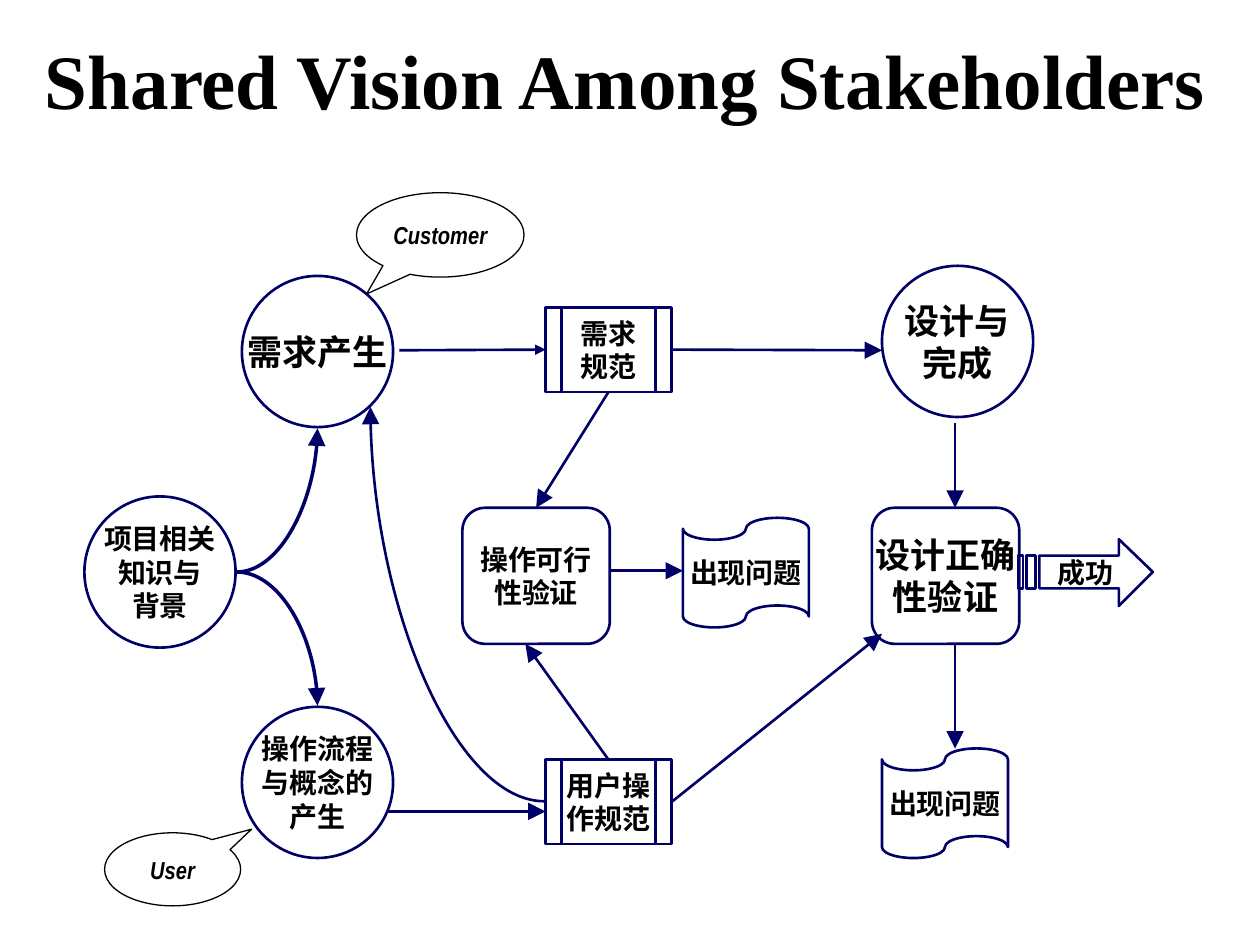
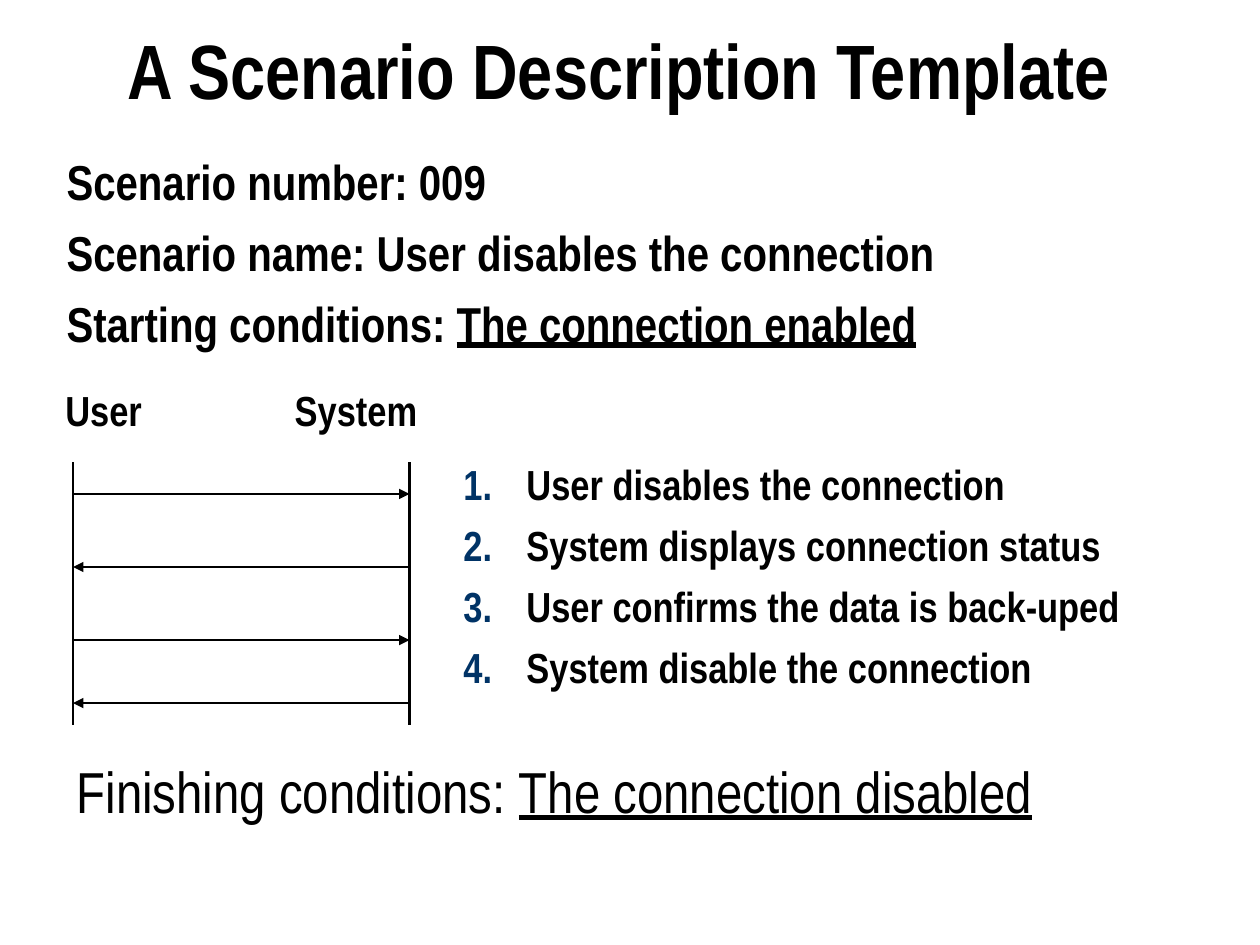
"""Build two slides: a stakeholder vision flow and a scenario template."""
from lxml.etree import SubElement
from pptx import Presentation
from pptx.dml.color import RGBColor
from pptx.enum.shapes import MSO_CONNECTOR, MSO_SHAPE
from pptx.enum.text import MSO_ANCHOR, MSO_AUTO_SIZE, PP_ALIGN
from pptx.oxml.ns import qn
from pptx.util import Inches, Pt

NAVY = RGBColor(0x00, 0x00, 0x66)
BLACK = RGBColor(0x00, 0x00, 0x00)
BLUE = RGBColor(0x00, 0x33, 0x66)
SERIF = "Times New Roman"
SANS = "Arial Narrow"

ROUND = (MSO_SHAPE.OVAL, 1.2, 1.2)
SPEC = (MSO_SHAPE.FLOWCHART_PREDEFINED_PROCESS, 1, 0.67)
CHECK = (MSO_SHAPE.ROUNDED_RECTANGLE, 1.17, 1.08)
TAPE = (MSO_SHAPE.FLOWCHART_PUNCHED_TAPE, 1, 0.87)

NODES = {
    "need": (ROUND, 1.92, 2.19, 20, ["需求产生"]),
    "concept": (ROUND, 1.92, 5.61, 16, ["操作流程", "与概念的", "产生"]),
    "need spec": (SPEC, 4.33, 2.44, 16, ["需求", "规范"]),
    "user spec": (SPEC, 4.33, 6.03, 16, ["用户操", "作规范"]),
    "use fault": (TAPE, 5.42, 4.11, 16, ["出现问题"]),
    "design": (ROUND, 7, 2.11, 20, ["设计与", "完成"]),
    "use check": (CHECK, 3.67, 4.03, 16, ["操作可行", "性验证"]),
    "design check": (CHECK, 6.92, 4.03, 20, ["设计正确", "性验证"]),
    "design fault": (TAPE, 7, 5.94, 16, ["出现问题"]),
    "context": (ROUND, 0.67, 3.94, 16, ["项目相关", "知识与", "背景"]),
}
CURVES = [
    ((1.88, 4.54), (2.52, 3.4), 2),
    ((1.88, 4.54), (2.52, 5.6), 2),
    ((4.32, 6.36), (2.94, 3.23), 1.5),
]
TOP, LEFT, BOTTOM, RIGHT = range(4)
LINKS = [
    ((3.17, 2.78), (4.33, 2.78), None, ("need spec", LEFT), "med"),
    ((3.08, 6.44), (4.33, 6.44), None, None, "lg"),
    ((4.83, 3.11), (4.25, 4.03), ("need spec", BOTTOM), ("use check", TOP), "lg"),
    ((4.83, 6.03), (4.17, 5.11), ("user spec", TOP), None, "lg"),
    ((4.83, 4.53), (5.42, 4.53), None, None, "lg"),
    ((5.33, 2.78), (7, 2.78), ("need spec", RIGHT), None, "lg"),
    ((5.33, 6.36), (7, 5.03), ("user spec", RIGHT), None, "lg"),
    ((7.58, 3.36), (7.58, 4.03), None, None, "lg"),
    ((7.58, 5.11), (7.58, 5.94), None, None, "lg"),
]
ARROW = [(8.88, 4.28), (8.88, 4.41), (8.25, 4.41), (8.25, 4.67),
         (8.88, 4.67), (8.88, 4.81), (9.15, 4.54)]
BARS = [(8.15, 8.22), (8.08, 8.12)]
CALLS = [
    ("Customer", (2.83, 1.53, 1.33, 0.67), (-0.44, 0.7)),
    ("User", (0.83, 6.61, 1.08, 0.58), (0.58, -0.55)),
]

FACTS = ["Scenario number: 009", "Scenario name: User disables the connection",
         ("Starting conditions: ", "The connection enabled")]
ROLES = [("User", 0.42), ("System", 2.24)]
STEPS = ["User disables the connection", "System displays connection status",
         "User confirms the data is back-uped", "System disable the connection"]
FINISH = [("Finishing conditions: ", "The connection disabled")]
LANES = (0.58, 3.25)
CALL_TOPS = [3.92, 4.5, 5.08, 5.58]


def write(frame, lines, size=16, font=SERIF, bold=True, italic=False,
          align=PP_ALIGN.CENTER, anchor=MSO_ANCHOR.MIDDLE, wrap=False,
          gap=0, count=False):
    """Fill a frame; in a pair the second part is underlined."""
    frame.word_wrap = wrap
    frame.auto_size = MSO_AUTO_SIZE.NONE
    frame.vertical_anchor = anchor
    for i, line in enumerate(lines):
        para = frame.add_paragraph() if i else frame.paragraphs[0]
        if count:
            props = para._p.get_or_add_pPr()
            props.set("marL", str(Inches(0.5)))
            props.set("indent", str(-Inches(0.5)))
            tint = SubElement(props, qn("a:buClr"))
            SubElement(tint, qn("a:srgbClr"), val=str(BLUE))
            SubElement(props, qn("a:buAutoNum"), type="arabicPeriod")
        para.alignment = align
        if i:
            para.space_before = Pt(gap)
        parts = (line,) if isinstance(line, str) else line
        for j, part in enumerate(parts):
            run = para.add_run()
            run.text = part
            face = run.font
            face.name, face.size = font, Pt(size)
            face.bold, face.italic = bold, italic
            face.color.rgb = BLACK
            if j:
                face.underline = True


def start(deck, title, box, font):
    """Add a slide and set its title."""
    slide = deck.slides.add_slide(deck.slide_layouts[5])
    head = slide.shapes.title
    head.left, head.top, head.width, head.height = map(Inches, box)
    write(head.text_frame, [title], size=44, font=font, wrap=True)
    return slide


def style(shape, color=NAVY, width=1.5):
    """Give a shape an outline and no fill or shadow."""
    shape.shadow.inherit = False
    shape.fill.background()
    shape.line.color.rgb = color
    shape.line.width = Pt(width)


def link(slide, tail, tip, color=NAVY, width=1.5, head="lg", curved=False):
    """Draw a connector, with an arrowhead if a head size is given."""
    kind = MSO_CONNECTOR.CURVE if curved else MSO_CONNECTOR.STRAIGHT
    wire = slide.shapes.add_connector(kind, *map(Inches, tail + tip))
    wire.line.color.rgb = color
    wire.line.width = Pt(width)
    props = wire._element.spPr
    if curved:
        props.find(qn("a:prstGeom")).set("prst", "curvedConnector2")
    if head:
        SubElement(props.find(qn("a:ln")), qn("a:tailEnd"),
                   type="triangle", w=head, len=head)
    SubElement(props, qn("a:effectLst"))
    return wire


def note(slide, lines, box, **form):
    """Add a left-aligned text box."""
    area = slide.shapes.add_textbox(*map(Inches, box))
    write(area.text_frame, lines, font=SANS, align=PP_ALIGN.LEFT,
          anchor=MSO_ANCHOR.TOP, wrap=True, **form)


def draw_arrow(slide):
    """Draw the striped success arrow."""
    bars = [[(a, 4.41), (a, 4.67), (b, 4.67), (b, 4.41)] for a, b in BARS]
    pen = None
    for path in [ARROW] + bars:
        dots = [(Inches(x), Inches(y)) for x, y in path]
        if pen is None:
            pen = slide.shapes.build_freeform(*dots[0])
        else:
            pen.move_to(*dots[0])
        pen.add_line_segments(dots[1:], close=True)
    shape = pen.convert_to_shape()
    style(shape)
    write(shape.text_frame, ["成功"])


def vision(deck):
    """Build the flow of shared vision."""
    slide = start(deck, "Shared Vision Among Stakeholders",
                  (0.2, 0.21, 9.53, 0.83), SERIF)
    nodes = {}
    for name, ((kind, wide, high), x, y, size, lines) in NODES.items():
        node = slide.shapes.add_shape(kind, *map(Inches, (x, y, wide, high)))
        style(node)
        write(node.text_frame, lines, size=size)
        nodes[name] = node
    for tail, tip, width in CURVES:
        link(slide, tail, tip, width=width, curved=True)
    for tail, tip, first, last, head in LINKS:
        wire = link(slide, tail, tip, head=head)
        if first:
            wire.begin_connect(nodes[first[0]], first[1])
        if last:
            wire.end_connect(nodes[last[0]], last[1])
    draw_arrow(slide)
    for name, box, point in CALLS:
        call = slide.shapes.add_shape(MSO_SHAPE.OVAL_CALLOUT, *map(Inches, box))
        call.adjustments[0], call.adjustments[1] = point
        style(call, BLACK, 0.75)
        write(call.text_frame, [name], size=14, font=SANS, italic=True)


def scene(deck):
    """Build the scenario template."""
    slide = start(deck, "A Scenario Description Template",
                  (0.75, 0.17, 8.33, 0.75), SANS)
    note(slide, FACTS, (0.43, 1.15, 8.83, 2), size=28, gap=7)
    for x in LANES:
        link(slide, (x, 3.67), (x, 5.75), BLACK, head=None)
    for i, y in enumerate(CALL_TOPS):
        tail, tip = LANES[::-1] if i % 2 else LANES
        link(slide, (tail, y), (tip, y), BLACK, head="med")
    note(slide, STEPS, (3.58, 3.59, 5.42, 2.25), size=24, gap=6, count=True)
    note(slide, FINISH, (0.51, 5.95, 8.42, 0.75), size=33, bold=False)
    for role, x in ROLES:
        note(slide, [role], (x, 3, 1.35, 0.5), size=24)


def main():
    """Build and save the deck."""
    deck = Presentation()
    deck.slide_width, deck.slide_height = Inches(10), Inches(7.5)
    vision(deck)
    scene(deck)
    deck.save("out.pptx")


if __name__ == "__main__":
    main()
